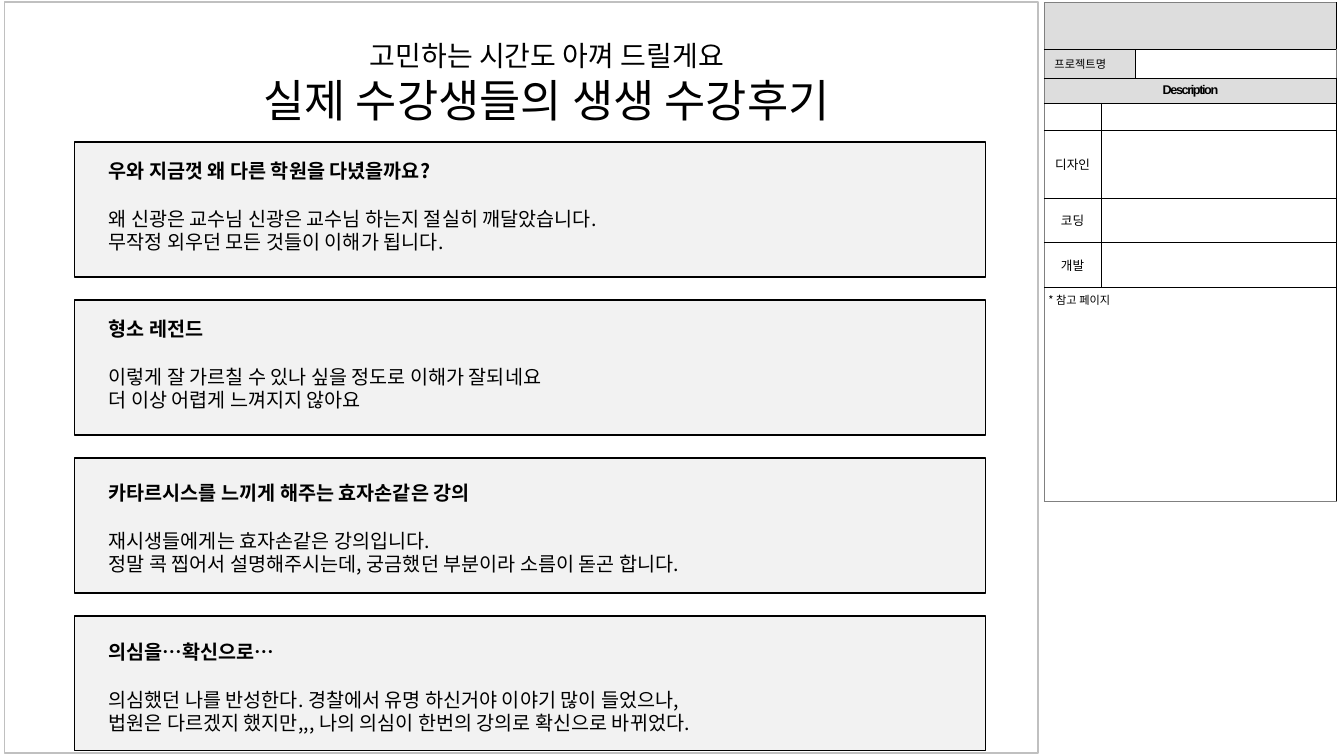
from lxml.etree import SubElement
from pptx import Presentation
from pptx.dml.color import RGBColor
from pptx.enum.shapes import MSO_SHAPE
from pptx.enum.text import MSO_ANCHOR, MSO_AUTO_SIZE, PP_ALIGN
from pptx.oxml import parse_xml
from pptx.oxml.ns import nsdecls, qn
from pptx.util import Cm, Pt

BLACK = RGBColor(0x00, 0x00, 0x00)
WHITE = RGBColor(0xFF, 0xFF, 0xFF)
SILVER = RGBColor(0xC0, 0xC0, 0xC0)
GRAY = RGBColor(0x80, 0x80, 0x80)
PALE = RGBColor(0xF2, 0xF2, 0xF2)
HEAD = RGBColor(0xDD, 0xDD, 0xDD)

TITLE = "고민하는 시간도 아껴 드릴게요\n실제 수강생들의 생생 수강후기"
REVIEWS = [
    (0.3, 9.6, "우와 지금껏 왜 다른 학원을 다녔을까요?", 14.3,
     "왜 신광은 교수님 신광은 교수님 하는지 절실히 깨달았습니다.\n"
     "무작정 외우던 모든 것들이 이해가 됩니다."),
    (0.3, 3.18, "형소 레전드", 12.88,
     "이렇게 잘 가르칠 수 있나 싶을 정도로 이해가 잘되네요\n"
     "더 이상 어렵게 느껴지지 않아요"),
    (0.46, 10.69, "카타르시스를 느끼게 해주는 효자손같은 강의", 16.48,
     "재시생들에게는 효자손같은 강의입니다.\n"
     "정말 콕 찝어서 설명해주시는데, 궁금했던 부분이라 소름이 돋곤 합니다."),
    (0.48, 5, "의심을…확신으로…", 16.81,
     "의심했던 나를 반성한다. 경찰에서 유명 하신거야 이야기 많이 들었으나,\n"
     "법원은 다르겠지 했지만,,, 나의 의심이 한번의 강의로 확신으로 바뀌었다."),
]
COLS = [1.42, 0.86, 5.08]
ROWS = [1.18, 0.71, 0.61, 0.67, 1.73, 1.11, 1.12, 5.41]
SPANS = [(0, 0, 2), (1, 0, 1), (2, 0, 2), (3, 1, 2),
         (4, 1, 2), (5, 1, 2), (6, 1, 2), (7, 0, 2)]
LABELS = {1: ("프로젝트명", 8), 2: ("Description", 9), 4: ("디자인", 9),
          5: ("코딩", 9), 6: ("개발", 9), 7: ("* 참고 페이지", 8)}


class Board:
    """Hold the type style and the slide being filled."""

    def __init__(self, slide, font="Noto Sans CJK KR"):
        """Keep the slide and its main font."""
        self.slide, self.font = slide, font

    def style(self, para, size, bold=False, font=None):
        """Format every run of a paragraph."""
        for run in para.runs:
            run.font.name = font or self.font
            run.font.size = Pt(size)
            run.font.bold = bold
            run.font.color.rgb = BLACK
            SubElement(run.font._element, qn("a:ea"), typeface=font or self.font)

    def fit(self, frame):
        """Let a frame follow its unwrapped text."""
        frame.word_wrap = False
        frame.auto_size = MSO_AUTO_SIZE.SHAPE_TO_FIT_TEXT

    def title(self, left, top, width, height, text, sizes):
        """Place the centred title with one size per line."""
        shape = self.slide.shapes.title
        shape.left, shape.top = Cm(left), Cm(top)
        shape.width, shape.height = Cm(width), Cm(height)
        frame = shape.text_frame
        frame.text = text
        frame.vertical_anchor = MSO_ANCHOR.TOP
        self.fit(frame)
        for para, size in zip(frame.paragraphs, sizes):
            para.alignment = PP_ALIGN.CENTER
            self.style(para, size)
        frame.paragraphs[0].line_spacing = 1.5

    def box(self, left, top, width, height, line, fill=None):
        """Draw an outlined rectangle."""
        shape = self.slide.shapes.add_shape(
            MSO_SHAPE.RECTANGLE, Cm(left), Cm(top), Cm(width), Cm(height))
        shape.shadow.inherit = False
        shape.line.color.rgb = line
        shape.line.width = Pt(1)
        if fill is None:
            shape.fill.background()
        else:
            shape.fill.solid()
            shape.fill.fore_color.rgb = fill

    def text(self, left, top, width, height, text, bold=False):
        """Add a text box of 14 point lines."""
        frame = self.slide.shapes.add_textbox(
            Cm(left), Cm(top), Cm(width), Cm(height)).text_frame
        frame.text = text
        self.fit(frame)
        for para in frame.paragraphs:
            self.style(para, 14, bold)

    def edge(self, cell, row, col):
        """Rule a cell, with a gray line on the outer sides."""
        outer = {"L": col == 0, "R": col == len(COLS) - 1,
                 "T": row == 0, "B": row == len(ROWS) - 1}
        props = cell._tc.get_or_add_tcPr()
        for place, (side, out) in enumerate(outer.items()):
            tone, width = (GRAY, Pt(1)) if out else (BLACK, Pt(0.25))
            props.insert(place, parse_xml(
                f'<a:ln{side} {nsdecls("a")} w="{int(width)}"><a:solidFill>'
                f'<a:srgbClr val="{tone}"/></a:solidFill></a:ln{side}>'))

    def label(self, cell, row):
        """Write the label of a row in its first cell."""
        text, size = LABELS[row]
        cell.text = text
        para = cell.text_frame.paragraphs[0]
        self.style(para, size, row == 2, "Arial" if row == 2 else None)
        if 2 <= row <= 6:
            para.alignment = PP_ALIGN.CENTER
        if row == 2:
            para.runs[0].font._element.set("spc", "-100")
        if row >= 4:
            cell.margin_left = cell.margin_right = Cm(0.1)
        cell.vertical_anchor = MSO_ANCHOR.TOP if row == 7 else MSO_ANCHOR.MIDDLE

    def table(self, left, top):
        """Build the description table."""
        grid = self.slide.shapes.add_table(
            len(ROWS), len(COLS), Cm(left), Cm(top),
            Cm(sum(COLS)), Cm(sum(ROWS))).table
        grid.first_row = grid.horz_banding = False
        for col, width in zip(grid.columns, COLS):
            col.width = Cm(width)
        for row, height in enumerate(ROWS):
            grid.rows[row].height = Cm(height)
            for col in range(len(COLS)):
                cell = grid.cell(row, col)
                dark = row in (0, 2) or (row == 1 and col < 2)
                cell.fill.solid()
                cell.fill.fore_color.rgb = HEAD if dark else WHITE
                self.edge(cell, row, col)
                if col == 0 and row in LABELS:
                    self.label(cell, row)
                else:
                    para = cell.text_frame.paragraphs[0]
                    SubElement(para._p, qn("a:endParaRPr"), sz="800")
        for row, first, last in SPANS:
            grid.cell(row, first).merge(grid.cell(row, last))


def main():
    """Build and save the review slide."""
    deck = Presentation()
    deck.slide_width, deck.slide_height = Cm(33.87), Cm(19.05)
    board = Board(deck.slides.add_slide(deck.slide_layouts[5]))
    board.box(0.12, 0.05, 26.04, 18.93, SILVER)
    board.table(26.32, 0.07)
    board.title(5.92, 0.43, 15.72, 2.9, TITLE, (20, 32))
    for place, (drop, wide, head, span, body) in enumerate(REVIEWS):
        top = 3.58 + place * 3.98
        board.box(1.88, top, 22.96, 3.4, BLACK, PALE)
        board.text(2.49, top + drop, wide, 0.86, head, True)
        board.text(2.49, top + drop + 1.2, span, 1.45, body)
    deck.save("out.pptx")


if __name__ == "__main__":
    main()
